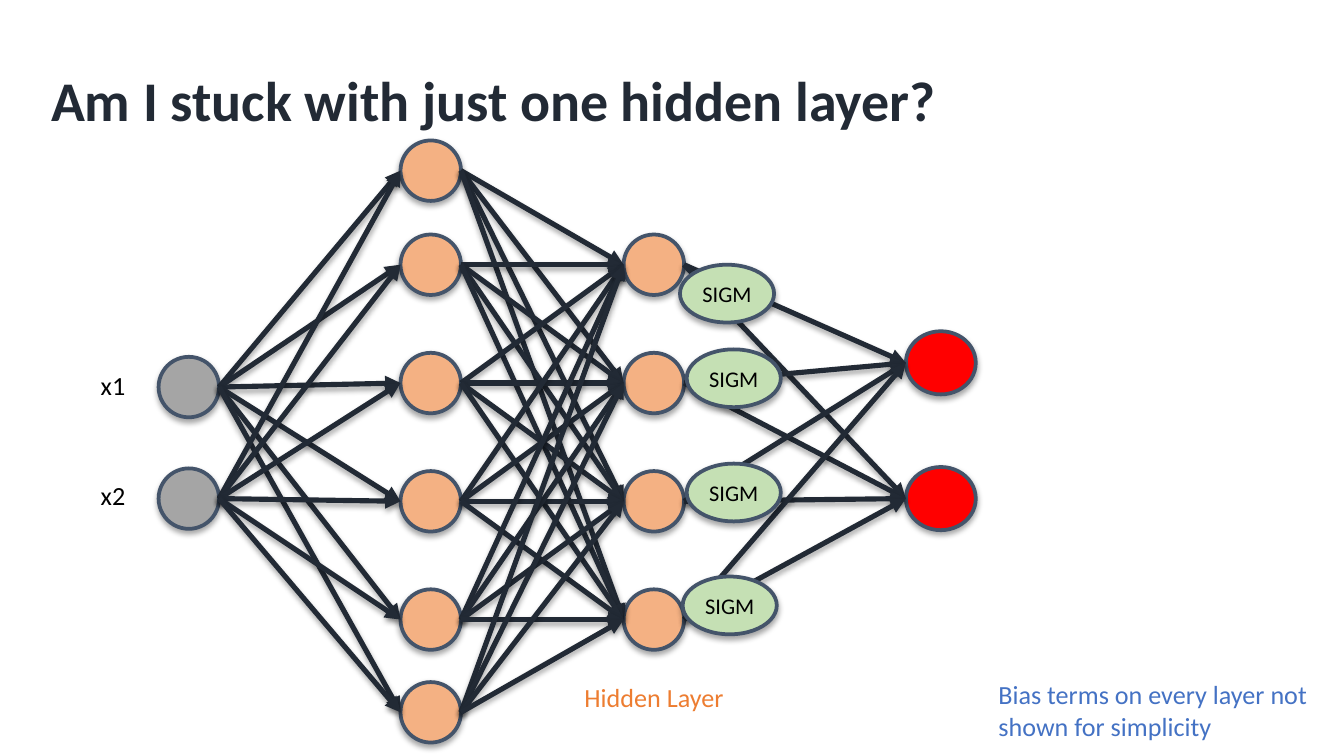
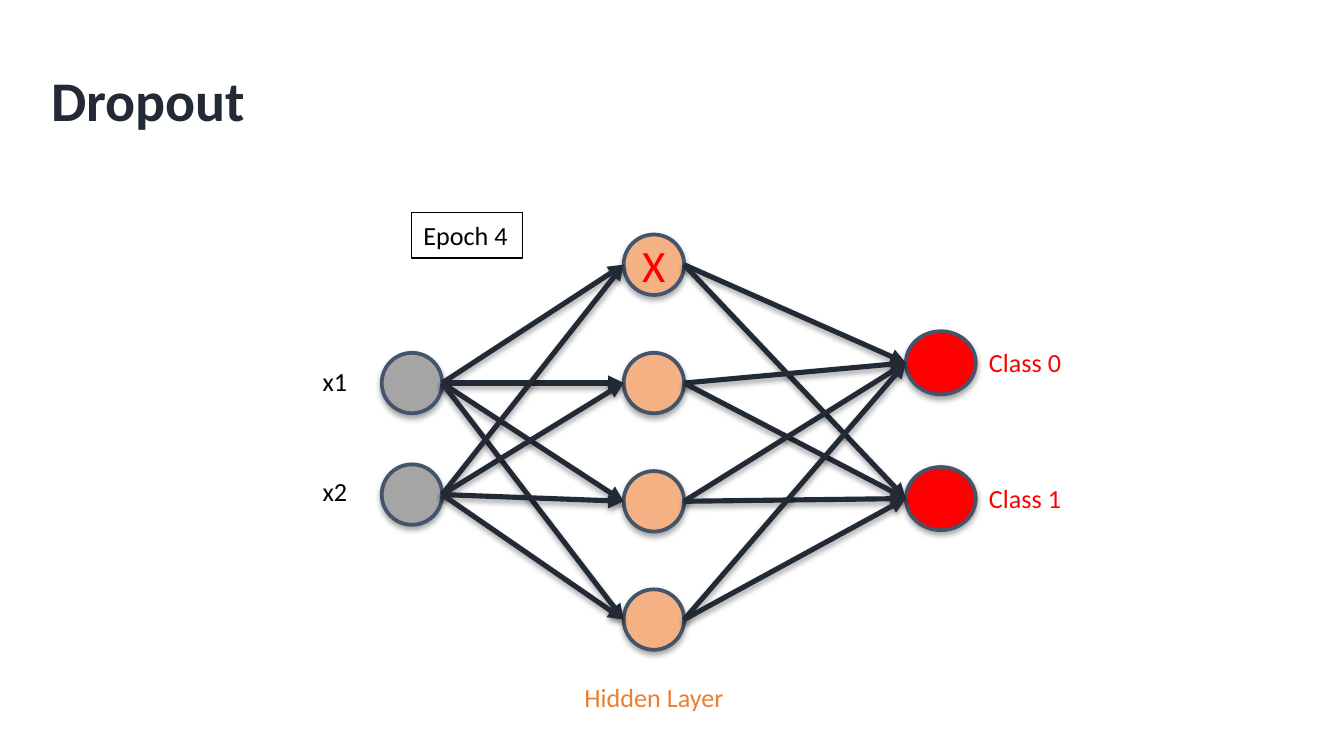
"""Build two slides that show neural networks with hidden layers and dropout."""
from dataclasses import dataclass
from itertools import product

from lxml import etree
from pptx import Presentation, util as u
from pptx.dml.color import RGBColor
from pptx.enum import shapes, text
from pptx.oxml import parse_xml
from pptx.oxml.ns import nsdecls, qn


@dataclass(frozen=True)
class Theme:
    font: str = "Calibri"
    ink: str = "222A35"
    edge: str = "44546A"
    black: str = "000000"
    gray: str = "A5A5A5"
    peach: str = "F4B183"
    orange: str = "ED7D31"
    green: str = "C5E0B4"
    red: str = "FF0000"
    blue: str = "4472C4"
    head: int = 30
    mark: int = 24
    body: int = 14
    small: int = 12
    wire: float = 2.75
    rim: float = 2


T = Theme()


def trace(item, color, width):
    """Give a shape or connector its line and soft shadow."""
    item.line.color.rgb = RGBColor.from_string(color)
    item.line.width = u.Pt(width)
    item._element.spPr.append(parse_xml(
        f'<a:effectLst {nsdecls("a")}><a:outerShdw blurRad="38100" dist="22860" '
        'dir="5400000" rotWithShape="0"><a:srgbClr val="000000">'
        '<a:alpha val="35000"/></a:srgbClr></a:outerShdw></a:effectLst>'))


def write(item, words, size, color, pad=0.1):
    """Put styled text in a shape."""
    frame = item.text_frame
    frame.text = words
    frame.word_wrap = True
    frame.auto_size = text.MSO_AUTO_SIZE.NONE
    frame.margin_left = frame.margin_right = u.Inches(pad)
    frame.margin_top = frame.margin_bottom = u.Inches(0.05)
    font = frame.paragraphs[0].runs[0].font
    font.name, font.size = T.font, u.Pt(size)
    font.color.rgb = RGBColor.from_string(color)
    return frame


rows = [1.97 + 0.88 * i for i in range(4)]
hidden = (4.64, 0.45, 0.45, T.peach, rows)
output = (6.74, 0.52, 0.47, T.red, [2.7, 3.71])
caption = (4.25, 5.02, 2.09, 0.34, "Hidden Layer", T.body, T.orange, 0.1)

deck = [
    ("Am I stuck with just one hidden layer?",
     [(1.18, 0.45, 0.45, T.gray, [2.88, 3.71]),
      (2.98, 0.45, 0.45, T.peach, [1.27, *rows, 5.3]),
      hidden, output],
     [(5.06, 1.97), (5.11, 2.6), (5.11, 3.45), (5.08, 4.29)],
     [(0.7, 2.7, 0.37, 0.34, "x1", T.body, T.black, 0.05),
      (0.7, 3.52, 0.37, 0.34, "x2", T.body, T.black, 0.05),
      caption,
      (7.33, 5, 2.67, 0.57, "Bias terms on every layer not shown for simplicity",
       T.body, T.blue, 0.1)]),
    ("Dropout",
     [(2.84, 0.45, 0.45, T.gray, [2.85, 3.68]), hidden, output],
     [],
     [(2.35, 2.67, 0.37, 0.34, "x1", T.body, T.black, 0.05),
      (2.35, 3.49, 0.37, 0.34, "x2", T.body, T.black, 0.05),
      caption,
      (7.26, 2.53, 0.84, 0.34, "Class 0", T.body, T.red, 0.1),
      (7.26, 3.54, 0.84, 0.34, "Class 1", T.body, T.red, 0.1),
      (4.68, 1.72, 0.31, 0.5, "X", T.mark, T.red, 0.1),
      (3.06, 1.58, 0.83, 0.34, "Epoch 4", T.body, T.black, 0.09)]),
]

prs = Presentation()
prs.slide_width = u.Inches(10)
prs.slide_height = prs.slide_width * 9 // 16

for name, layers, gates, labels in deck:
    slide = prs.slides.add_slide(prs.slide_layouts[5])
    title = slide.shapes.title
    title.left, title.top = u.Inches(0.28), u.Inches(0.44)
    title.width, title.height = u.Inches(8.49), u.Inches(0.76)
    frame = write(title, name, T.head, T.ink)
    frame.vertical_anchor = text.MSO_ANCHOR.TOP
    frame.paragraphs[0].alignment = text.PP_ALIGN.LEFT
    frame.paragraphs[0].runs[0].font.bold = True

    for left, wide, high, fill, mids in layers:
        for mid in mids:
            node = slide.shapes.add_shape(
                shapes.MSO_SHAPE.OVAL, u.Inches(left), u.Inches(mid - high / 2),
                u.Inches(wide), u.Inches(high))
            node.fill.solid()
            node.fill.fore_color.rgb = RGBColor.from_string(fill)
            trace(node, T.edge, T.rim)

    for near, far in zip(layers, layers[1:]):
        for start, end in product(near[4], far[4]):
            wire = slide.shapes.add_connector(
                shapes.MSO_CONNECTOR.STRAIGHT, u.Inches(near[0] + near[1]),
                u.Inches(start), u.Inches(far[0]), u.Inches(end))
            trace(wire, T.ink, T.wire)
            etree.SubElement(wire.line._get_or_add_ln(), qn("a:tailEnd"), type="triangle")

    for left, top in gates:
        gate = slide.shapes.add_shape(
            shapes.MSO_SHAPE.OVAL, u.Inches(left), u.Inches(top),
            u.Inches(0.7), u.Inches(0.43))
        gate.fill.solid()
        gate.fill.fore_color.rgb = RGBColor.from_string(T.green)
        trace(gate, T.edge, T.rim)
        frame = write(gate, "SIGM", T.small, T.black, 0.05)
        frame.vertical_anchor = text.MSO_ANCHOR.MIDDLE
        frame.paragraphs[0].alignment = text.PP_ALIGN.CENTER

    for left, top, wide, high, words, size, color, pad in labels:
        box = slide.shapes.add_textbox(
            u.Inches(left), u.Inches(top), u.Inches(wide), u.Inches(high))
        write(box, words, size, color, pad)
        if words.startswith("Epoch"):
            box.line.color.rgb = RGBColor.from_string(T.black)
            box.line.width = u.Pt(0.75)

prs.save("out.pptx")
